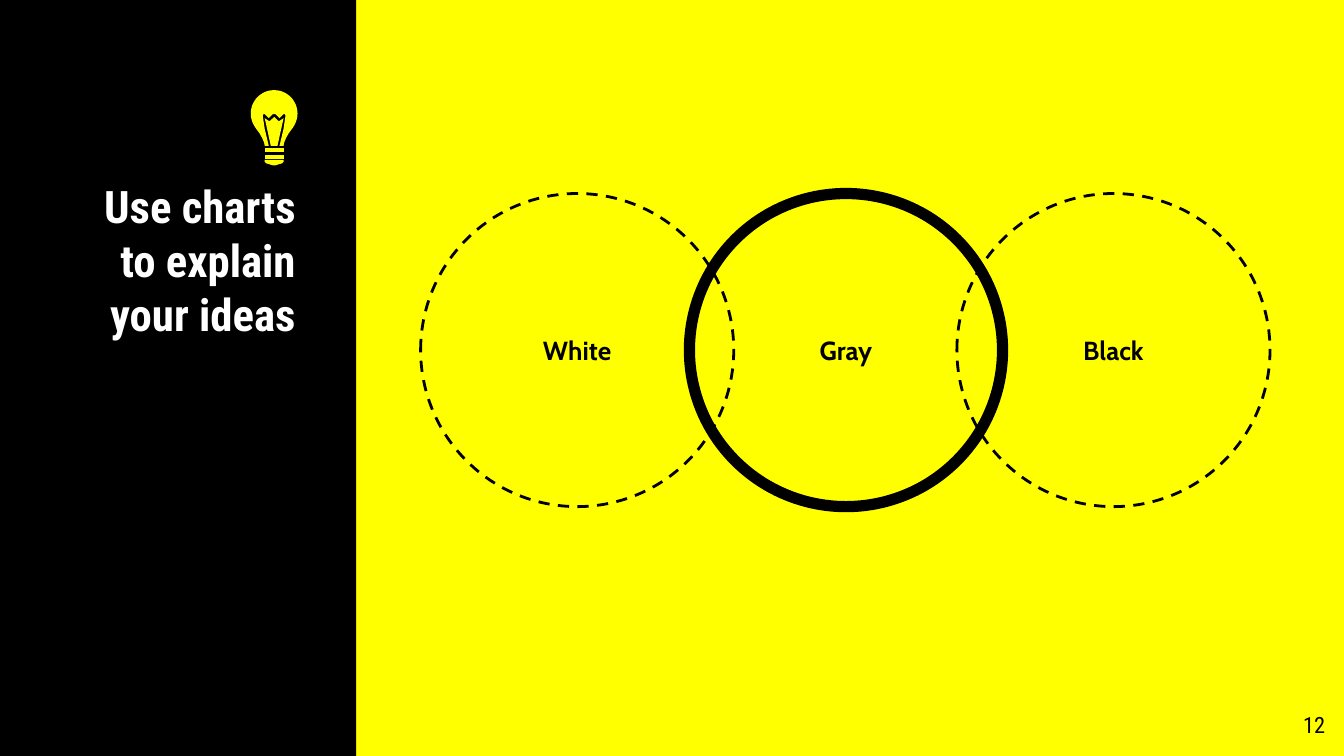
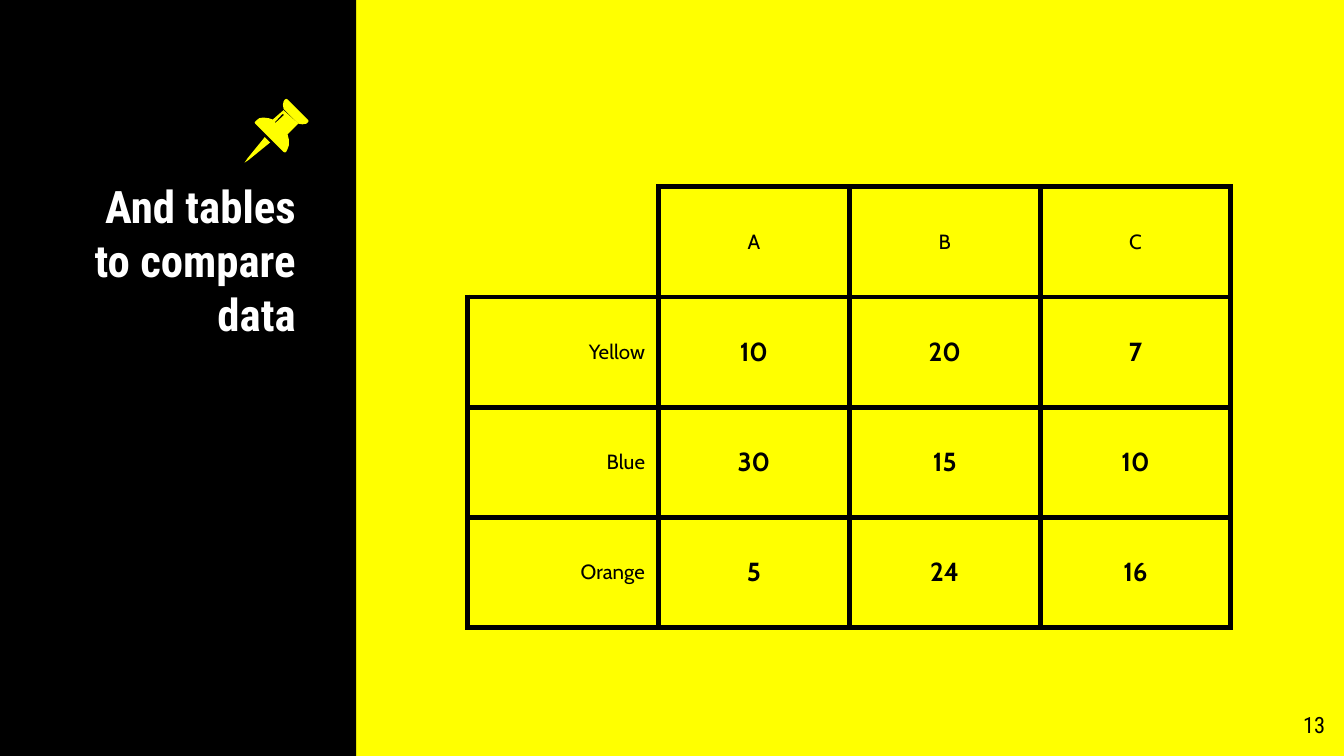
from math import cos, radians, sin

from lxml.etree import SubElement
from pptx import Presentation
from pptx.dml.color import RGBColor
from pptx.enum.dml import MSO_LINE as Dash
from pptx.enum.shapes import MSO_SHAPE as Shape
from pptx.enum.text import MSO_ANCHOR as Anchor, MSO_AUTO_SIZE as AutoSize, PP_ALIGN as Align
from pptx.oxml.ns import qn
from pptx.util import Inches, Pt

YELLOW = RGBColor(0xFF, 0xFF, 0x00)
BLACK = RGBColor(0x00, 0x00, 0x00)
WHITE = RGBColor(0xFF, 0xFF, 0xFF)
HEADING_FONT = "Roboto Condensed"
BODY_FONT = "Cabin"

BULB_AXIS = 204
GLASS_ARC = [(BULB_AXIS - 17.4 * sin(radians(a)), 84.5 - 17.4 * cos(radians(a)))
             for a in range(0, 121, 10)]
GLASS_HALF = GLASS_ARC + [
    (190, 95), (193, 99), (195, 102.5), (196.5, 106), (197, 108.5), (200, 108.5),
    (197, 96), (195.5, 86), (196, 85), (197, 85), (200, 88), (203, 85), (204, 85)]
FILAMENT_HALF = [(204, 87), (201, 90), (200, 90), (197, 88), (201.5, 108.5)]
TIP_HALF = [(197, 119), (197, 120.5), (198, 121.5), (203, 123), (204, 123)]

PIN_NEEDLE = [(197, 102), (184, 118), (182, 121), (185, 119), (201, 106)]
PIN_CAP = [(213, 73.5), (212, 74), (211, 75.5), (210.5, 78), (211, 81), (222, 92),
           (225, 92.5), (228, 92), (229.5, 90.5), (229.5, 89.5), (229, 89), (214, 74)]
PIN_BODY = [(211, 82), (203, 89), (200, 88), (196, 87.5), (193, 88), (191, 89.5),
            (189.5, 91), (190, 92), (211, 113), (212, 113.5), (213, 113), (214, 111),
            (215, 108), (215, 104), (214, 100), (222, 92)]
PIN_SHINE = [(210, 85), (211, 85), (211, 86), (205, 91.5), (204.5, 91)]


def mirrored(half):
    """Complete an outline by reflecting its half about the bulb axis."""
    return half + [(2 * BULB_AXIS - x, y) for x, y in reversed(half)]


def bulb_band(top):
    """Return one rectangular band of the bulb's screw base."""
    return mirrored([(197, top), (197, top + 3)])


class Deck:
    """Hold the shared style and the slide being built."""

    def __init__(self):
        """Prepare the page size and the layout's background."""
        self.presentation = Presentation()
        self.presentation.slide_width = Inches(10)
        self.presentation.slide_height = Inches(10) * 9 // 16
        self.layout = self.presentation.slide_layouts[5]
        self.layout.background.fill.solid()
        self.layout.background.fill.fore_color.rgb = YELLOW
        self.slide = None
        self.band = None

    def add_side_band(self):
        """Draw the side band once and move it to the shared layout."""
        self.band = self.slide.shapes.add_shape(
            Shape.RECTANGLE, 0, 0, Inches(2.65), self.presentation.slide_height)
        self.paint(self.band, BLACK)
        self.layout.shapes._spTree.insert(2, self.band._element)

    def paint(self, shape, color):
        """Give a shape a flat fill with no outline or shadow."""
        shape.shadow.inherit = False
        shape.fill.solid()
        shape.fill.fore_color.rgb = color
        shape.line.fill.background()

    def put_text(self, frame, text, size, font=BODY_FONT, color=BLACK, bold=False,
                 align=Align.CENTER):
        """Put one styled run into the first paragraph."""
        paragraph = frame.paragraphs[0]
        paragraph.alignment = align
        run = paragraph.add_run()
        run.text = text
        run.font.name = font
        run.font.size = Pt(size)
        run.font.bold = bold
        run.font.color.rgb = color

    def pad(self, frame, anchor):
        """Set wrapping, anchor and equal insets."""
        frame.word_wrap = True
        frame.auto_size = AutoSize.NONE
        frame.vertical_anchor = anchor
        frame.margin_left = frame.margin_right = Inches(0.1)
        frame.margin_top = frame.margin_bottom = Inches(0.1)

    def new_slide(self, heading, number):
        """Start a slide with its heading and page number."""
        self.slide = self.presentation.slides.add_slide(self.layout)
        if self.band is None:
            self.add_side_band()
        title = self.slide.shapes.title
        title.left, title.top = Inches(0.44), Inches(1.23)
        title.width, title.height = Inches(1.86), Inches(1.62)
        self.pad(title.text_frame, Anchor.TOP)
        self.put_text(title.text_frame, heading, 24, HEADING_FONT, WHITE, True, Align.RIGHT)
        page = self.slide.shapes.add_textbox(
            Inches(9.36), Inches(5.19), Inches(0.6), Inches(0.43)).text_frame
        self.pad(page, Anchor.TOP)
        self.put_text(page, str(number), 12, HEADING_FONT, align=Align.RIGHT)

    def circle(self, label, left, weight, dash=None):
        """Add an unfilled labelled circle."""
        ring = self.slide.shapes.add_shape(
            Shape.OVAL, Inches(left), Inches(1.44), Inches(2.33), Inches(2.33))
        ring.shadow.inherit = False
        ring.fill.background()
        ring.line.color.rgb = BLACK
        ring.line.width = Pt(weight)
        if dash is not None:
            ring.line.dash_style = dash
        self.pad(ring.text_frame, Anchor.MIDDLE)
        self.put_text(ring.text_frame, label, 14, bold=True)

    def icon(self, *parts):
        """Group outlines, each a list of contours in hundredths of an inch."""
        pieces = []
        for contours in parts:
            builder = None
            for contour in contours:
                points = [(Inches(x / 100), Inches(y / 100)) for x, y in contour]
                if builder is None:
                    builder = self.slide.shapes.build_freeform(*points[0])
                else:
                    builder.move_to(*points[0])
                builder.add_line_segments(points[1:], close=True)
            piece = builder.convert_to_shape()
            self.paint(piece, YELLOW)
            pieces.append(piece)
        self.slide.shapes.add_group_shape(pieces)

    def border(self, cell, hidden=""):
        """Draw the cell's edges, leaving the hidden ones empty."""
        properties = cell._tc.get_or_add_tcPr()
        for side in "LRTB":
            edge = SubElement(properties, qn(f"a:ln{side}"), w=str(Pt(3)))
            if side in hidden:
                SubElement(edge, qn("a:noFill"))
            else:
                fill = SubElement(edge, qn("a:solidFill"))
                SubElement(fill, qn("a:srgbClr"), val=str(BLACK))

    def table(self, rows):
        """Add the bordered comparison table with an open corner."""
        column_width, row_height = Inches(1.42), Inches(0.82)
        grid = self.slide.shapes.add_table(
            len(rows), len(rows[0]), Inches(3.48), Inches(1.39),
            column_width * len(rows[0]), row_height * len(rows)).table
        grid.first_row = grid.horz_banding = False
        for r, row in enumerate(rows):
            for c, text in enumerate(row):
                cell = grid.cell(r, c)
                self.border(cell, "LT" if r == c == 0 else "")
                cell.fill.background()
                cell.vertical_anchor = Anchor.MIDDLE
                cell.margin_left = cell.margin_right = Inches(0.1)
                cell.margin_top = cell.margin_bottom = Inches(0.07)
                is_value = r > 0 and c > 0
                if text:
                    self.put_text(cell.text_frame, text, 14 if is_value else 11,
                                  bold=is_value, align=Align.CENTER if c else Align.RIGHT)


def main():
    """Build both slides and save them."""
    deck = Deck()

    deck.new_slide("Use charts to explain your ideas", 12)
    deck.circle("Gray", 5.13, 6)
    deck.circle("White", 3.13, 1.5, Dash.DASH)
    deck.circle("Black", 7.12, 1.5, Dash.DASH)
    deck.icon([bulb_band(115)], [bulb_band(110)], [mirrored(TIP_HALF)],
              [mirrored(FILAMENT_HALF)], [mirrored(GLASS_HALF)])

    deck.new_slide("And tables to compare data", 13)
    deck.table([["", "A", "B", "C"],
                ["Yellow", "10", "20", "7"],
                ["Blue", "30", "15", "10"],
                ["Orange", "5", "24", "16"]])
    deck.icon([PIN_NEEDLE], [PIN_CAP], [PIN_BODY, PIN_SHINE])

    deck.presentation.save("out.pptx")


if __name__ == "__main__":
    main()
